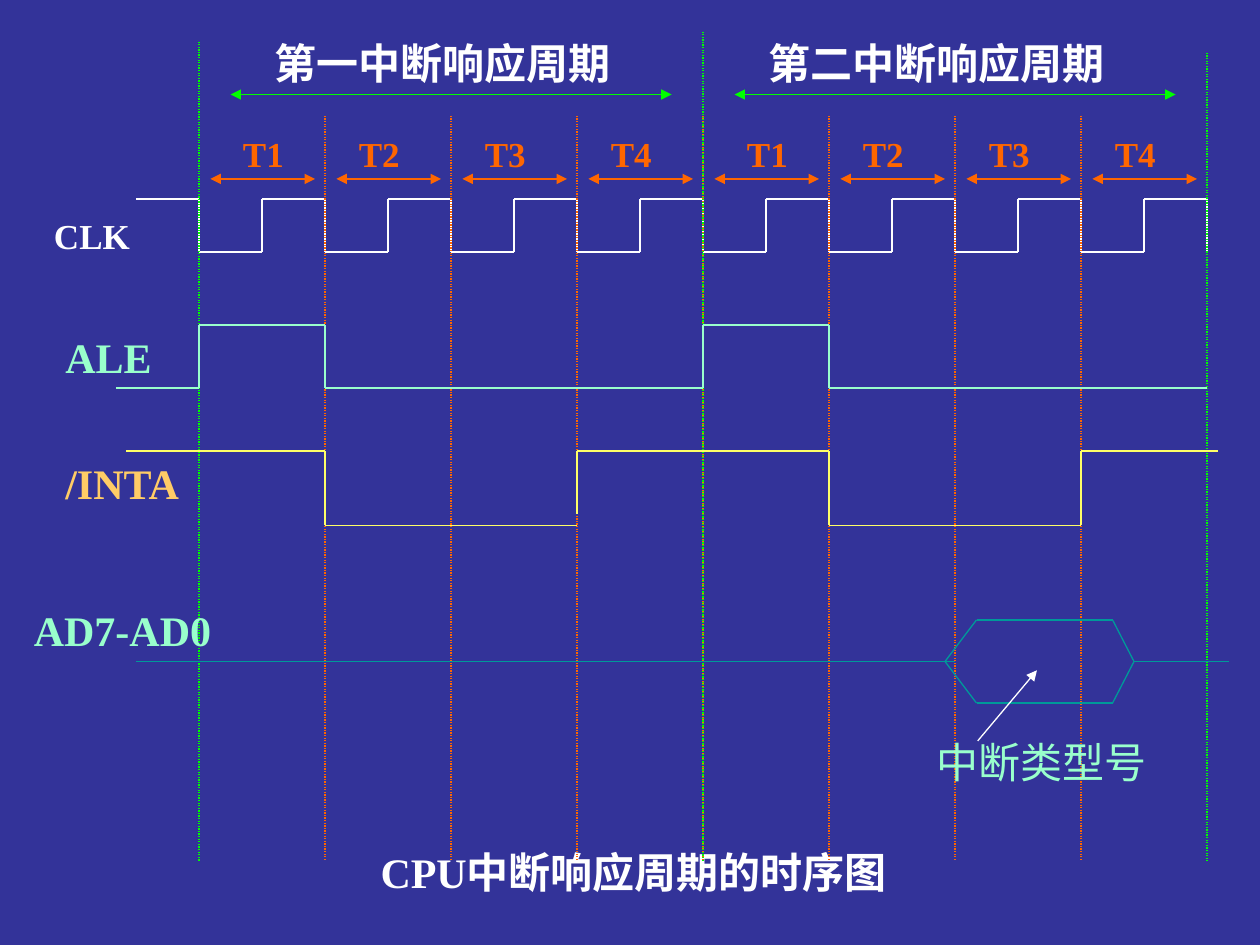
"""Build the CPU interrupt acknowledge timing diagram."""
import itertools

import pptx
import pptx.dml.color
import pptx.enum.dml
import pptx.enum.shapes
import pptx.enum.text
import pptx.oxml.ns
import pptx.util
from lxml import etree
from pptx.util import Inches

FONT = "Times New Roman"
WHITE, GREEN, ORANGE = "FFFFFF", "00FF00", "FF6600"
MINT, YELLOW, TEAL, GOLD = "99FFCC", "FFFF66", "009999", "FFCC66"
LEFT = 1.58
MID = LEFT + 4
END = LEFT + 8


def color(code):
    """Turn a hex string into a colour."""
    return pptx.dml.color.RGBColor.from_string(code)


def style(frame, text, size=24, tint=WHITE, bold=True, align="LEFT"):
    """Write formatted text into a text frame."""
    frame.word_wrap = True
    frame.auto_size = pptx.enum.text.MSO_AUTO_SIZE.NONE
    frame.vertical_anchor = pptx.enum.text.MSO_ANCHOR.TOP
    para = frame.paragraphs[0]
    para.alignment = getattr(pptx.enum.text.PP_ALIGN, align)
    run = para.add_run()
    run.text = text
    run.font.name = FONT
    run.font.size = pptx.util.Pt(size)
    run.font.bold = bold
    run.font.color.rgb = color(tint)


def label(slide, text, left, top, width, height=0.5, **look):
    """Add a text box."""
    box = slide.shapes.add_textbox(*map(Inches, (left, top, width, height)))
    style(box.text_frame, text, **look)


def line(slide, start, end, tint, dots=False, ends=()):
    """Add a straight line, dotted or with arrowheads if asked."""
    kind = pptx.enum.shapes.MSO_CONNECTOR.STRAIGHT
    link = slide.shapes.add_connector(kind, *map(Inches, (*start, *end)))
    link.line.width = pptx.util.Pt(0.75)
    link.line.color.rgb = color(tint)
    if dots:
        link.line.dash_style = pptx.enum.dml.MSO_LINE.ROUND_DOT
    props = link.element.spPr
    for name in ends:
        tag = pptx.oxml.ns.qn("a:" + name)
        etree.SubElement(props.find(pptx.oxml.ns.qn("a:ln")), tag, type="triangle")
    etree.SubElement(props, pptx.oxml.ns.qn("a:effectLst"))


def arrow(slide, left, right, y, tint):
    """Add a level double arrow."""
    line(slide, (left, y), (right, y), tint, ends=("headEnd", "tailEnd"))


def trace(slide, points, tint):
    """Join points by lines."""
    for start, end in itertools.pairwise(points):
        line(slide, start, end, tint)


def clock(slide):
    """Draw the clock wave."""
    high, low = 1.58, 2
    points = [(LEFT - 0.5, high)]
    for beat in range(8):
        x = LEFT + beat
        points += [(x, high), (x, low), (x + 0.5, low), (x + 0.5, high)]
    trace(slide, points + [(END, high), (END, low)], WHITE)


def cycle(slide, start, text, left):
    """Draw the heading, states and guides of one bus cycle."""
    for beat in range(4):
        x = start + beat
        arrow(slide, x + 0.09, x + 0.92, 1.42, ORANGE)
        shift = 0.17 if beat else 0.25
        label(slide, f"T{beat + 1}", x + shift, 1, 0.67, 0.44, size=20, tint=ORANGE)
        if beat:
            line(slide, (x, 0.92), (x, 6.83), ORANGE, dots=True)
    arrow(slide, start + 0.25, start + 3.75, 0.75, GREEN)
    label(slide, text, left, 0.25, 3.17)


def pulses(slide):
    """Draw the ALE and INTA waves."""
    high, low = 2.58, 3.08
    points = [(0.92, low)]
    for x in (LEFT, MID):
        points += [(x, low), (x, high), (x + 1, high), (x + 1, low)]
    trace(slide, points + [(END, low)], MINT)
    high, low = 3.58, 4.17
    fall, rise = LEFT + 1, LEFT + 3
    trace(slide, [(1, high), (fall, high), (fall, low), (rise, low)], YELLOW)
    fall, back = MID + 1, MID + 3
    trace(slide, [(rise, 4.08), (rise, high), (fall, high), (fall, low),
                  (back, low), (back, high), (9.67, high)], YELLOW)


def bus(slide):
    """Draw the data bus and its valid window."""
    y, top, base = 5.25, 4.92, 5.58
    trace(slide, [(1.08, y), (7.58, y)], TEAL)
    trace(slide, [(9, y), (9.75, y)], TEAL)
    trace(slide, [(7.5, y), (7.75, top), (8.83, top), (9, y),
                  (8.83, base), (7.75, base), (7.5, y)], TEAL)
    label(slide, "中断类型号", 7.28, 5.8, 1.97, tint=MINT, bold=False, align="CENTER")
    line(slide, (7.76, 5.88), (8.23, 5.32), WHITE, ends=("tailEnd",))


def main():
    """Build and save the slide."""
    deck = pptx.Presentation()
    deck.slide_width, deck.slide_height = Inches(10), Inches(7.5)
    slide = deck.slides.add_slide(deck.slide_layouts[5])
    slide.background.fill.solid()
    slide.background.fill.fore_color.rgb = color("333399")
    title = slide.shapes.title
    title.left, title.top = Inches(2.92), Inches(6.67)
    title.width, title.height = Inches(4.75), Inches(0.5)
    style(title.text_frame, "CPU中断响应周期的时序图")
    clock(slide)
    cycle(slide, LEFT, "第一中断响应周期", 2.08)
    cycle(slide, MID, "第二中断响应周期", 6)
    line(slide, (MID, 0.92), (MID, 6.83), ORANGE, dots=True)
    for x, top in ((LEFT, 0.33), (MID, 0.25), (END, 0.42)):
        line(slide, (x, top), (x, 6.83), GREEN, dots=True)
    pulses(slide)
    bus(slide)
    label(slide, "CLK", 0.33, 1.65, 0.92, 0.44, size=20)
    label(slide, "ALE", 0.42, 2.58, 1.67, tint=MINT)
    label(slide, "/INTA", 0.42, 3.58, 1.25, tint=GOLD)
    label(slide, "AD7-AD0", 0.17, 4.75, 2.33, tint=MINT)
    deck.save("out.pptx")


if __name__ == "__main__":
    main()
